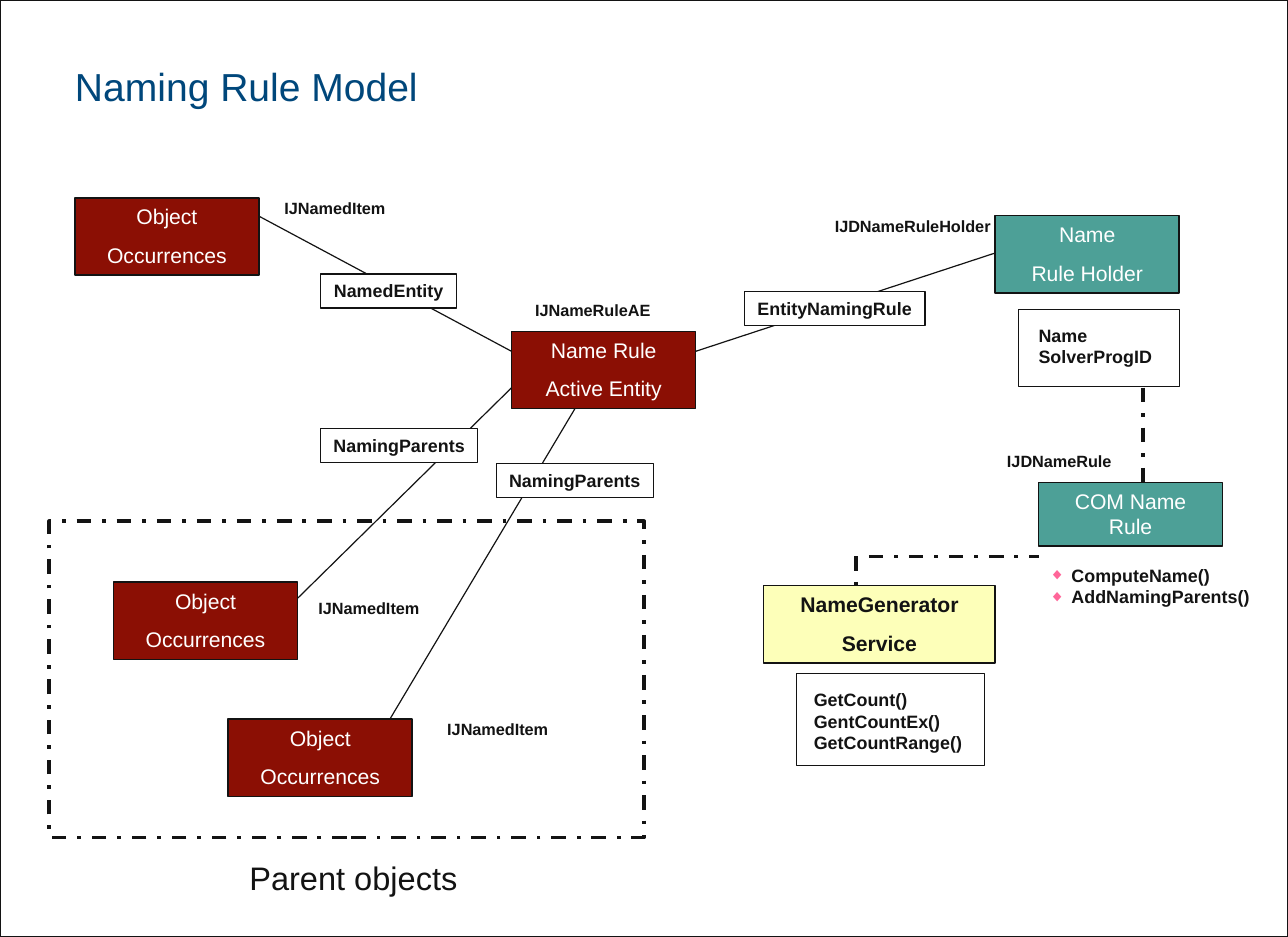
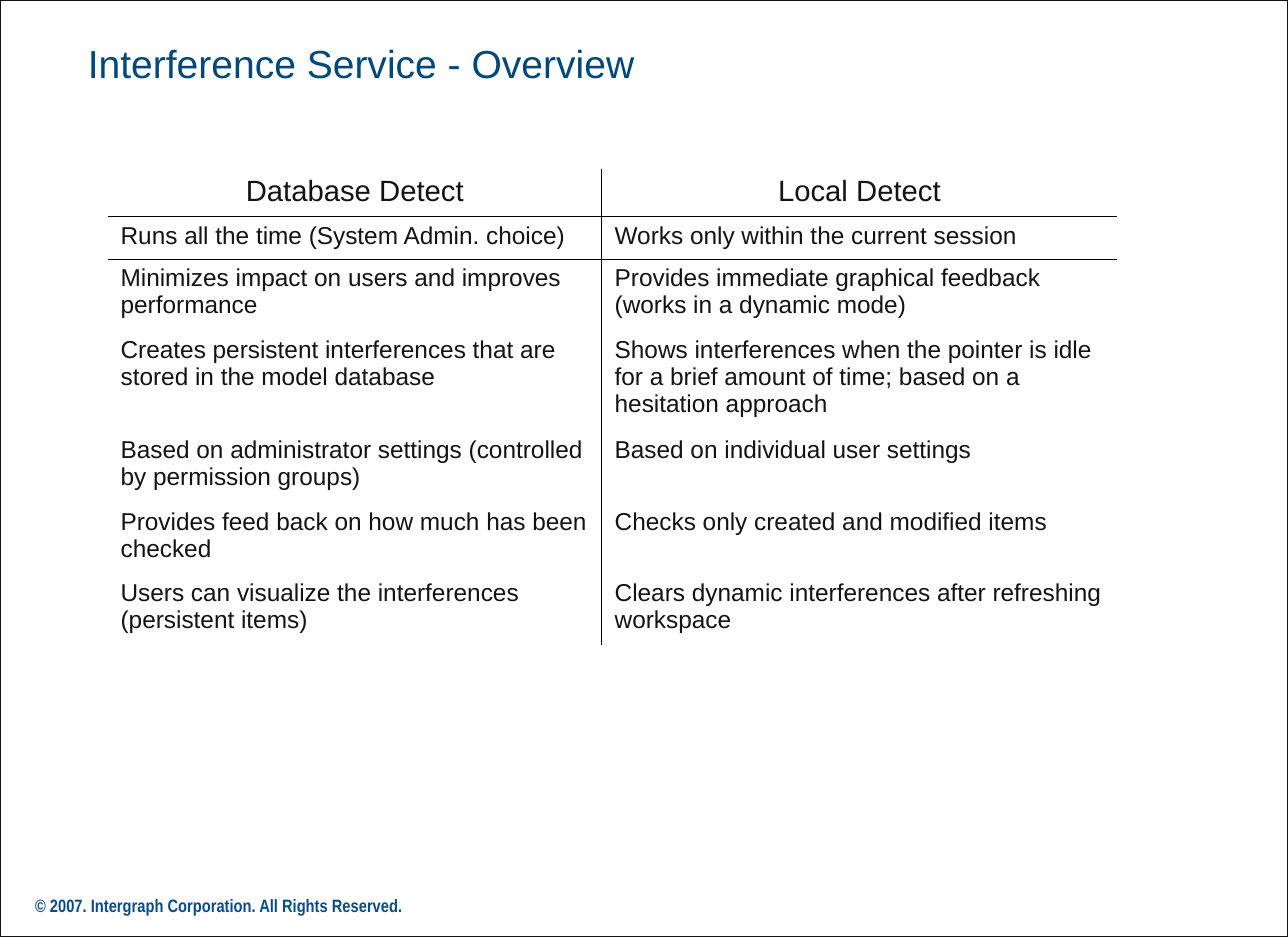
from dataclasses import dataclass

from lxml.etree import SubElement
from pptx import Presentation
from pptx.dml.color import RGBColor
from pptx.enum.dml import MSO_LINE
from pptx.enum.shapes import MSO_CONNECTOR, MSO_SHAPE
from pptx.enum.text import MSO_ANCHOR, MSO_AUTO_SIZE, PP_ALIGN
from pptx.oxml.ns import qn
from pptx.util import Emu, Inches, Pt


@dataclass(frozen=True)
class Theme:
    font: str = "Arial"
    narrow: str = "Arial Narrow"
    ink: str = "131313"
    white: str = "FFFFFF"
    backdrop: str = "CED8D9"
    title: str = "00477B"
    copyright: str = "084B88"
    entity: str = "8B0F04"
    rule: str = "4DA097"
    service: str = "FDFFB9"
    bullet: str = "FF6699"
    border: str = "000000"
    title_size: float = 24
    caption_size: float = 20
    header_size: float = 18
    cell_size: float = 15
    box_size: float = 13
    member_size: float = 11
    interface_size: float = 10
    thin: float = 0.25
    wire: float = 0.75
    outline: float = 1
    dash: float = 2.25


theme = Theme()
deck = Presentation()
deck.slide_width, deck.slide_height = Inches(11), Inches(8)
COL, ROW = deck.slide_width / 110, deck.slide_height / 80
PAD, FLUSH = (1.1, 0.5), (0, 0)


def write(frame, lines, size, color=theme.ink, bold=False, font=theme.font,
          align=PP_ALIGN.LEFT, gap=0, pad=PAD, anchor=MSO_ANCHOR.TOP, wrap=True):
    frame.auto_size, frame.word_wrap = MSO_AUTO_SIZE.NONE, wrap
    frame.vertical_anchor = anchor
    frame.margin_left = frame.margin_right = Emu(round(pad[0] * COL))
    frame.margin_top = frame.margin_bottom = Emu(round(pad[1] * ROW))
    frame.text = "\n".join(lines)
    for index, paragraph in enumerate(frame.paragraphs):
        paragraph.alignment = align
        paragraph.space_before = Pt(gap if index else 0)
        paragraph.font.name, paragraph.font.size = font, Pt(size)
        paragraph.font.bold = bold
        paragraph.font.color.rgb = RGBColor.from_string(color)


def box(slide, place, fill=None, weight=theme.outline, dash=None):
    x, y, w, h = place
    shape = slide.shapes.add_shape(
        MSO_SHAPE.RECTANGLE, round(x * COL), round(y * ROW), round(w * COL), round(h * ROW))
    shape.shadow.inherit = False
    if fill:
        shape.fill.solid()
        shape.fill.fore_color.rgb = RGBColor.from_string(fill)
    else:
        shape.fill.background()
    shape.line.color.rgb = RGBColor.from_string(theme.ink)
    shape.line.width = Pt(weight)
    shape.line.dash_style = dash
    return shape


backdrop = deck.slide_master.background.fill
backdrop.solid()
backdrop.fore_color.rgb = RGBColor.from_string(theme.backdrop)

slides = []
for heading, layout, pad, anchor in [
    ("Naming Rule Model", 1, FLUSH, MSO_ANCHOR.BOTTOM),
    ("Interference Service - Overview", 5, PAD, MSO_ANCHOR.MIDDLE),
]:
    slide = deck.slides.add_slide(deck.slide_layouts[layout])
    page = box(slide, (0, 0, 110, 80), theme.white, theme.wire)
    slide.shapes._spTree.insert(2, page._element)
    title = slide.shapes.title
    title.left, title.top = round(6.4 * COL), round(1.4 * ROW)
    title.width, title.height = round(66.7 * COL), round(7.9 * ROW)
    write(title.text_frame, [heading], theme.title_size, theme.title, pad=pad, anchor=anchor)
    slides.append(slide)
model, overview = slides

wires = [
    (25.4, 51.1, 43.7, 33.1, theme.wire, None),
    (43.7, 30, 22.2, 18.5, theme.wire, None),
    (59.4, 30, 85, 21.6, theme.wire, None),
    (33.3, 61.4, 49.1, 34.9, theme.wire, None),
    (73.1, 47.5, 73.1, 50, theme.dash, MSO_LINE.DASH_DOT),
    (74.2, 47.5, 88.7, 47.5, theme.dash, MSO_LINE.DASH_DOT),
    (97.6, 33.1, 97.6, 41.2, theme.dash, MSO_LINE.DASH_DOT),
]
for x1, y1, x2, y2, weight, dash in wires:
    wire = model.shapes.add_connector(
        MSO_CONNECTOR.STRAIGHT, round(x1 * COL), round(y1 * ROW), round(x2 * COL), round(y2 * ROW))
    wire.line.color.rgb = RGBColor.from_string(theme.ink)
    wire.line.width, wire.line.dash_style = Pt(weight), dash
    SubElement(wire._element.spPr, qn("a:effectLst"))

box(model, (4.2, 44.5, 50.8, 27), weight=theme.dash, dash=MSO_LINE.DASH_DOT)

occurrences = ["Object", "Occurrences"]
components = [
    (6.4, 16.9, 15.7, 6.6, theme.entity, theme.white, occurrences),
    (9.7, 49.7, 15.7, 6.6, theme.entity, theme.white, occurrences),
    (19.5, 61.4, 15.7, 6.6, theme.entity, theme.white, occurrences),
    (43.7, 28.3, 15.7, 6.6, theme.entity, theme.white, ["Name Rule", "Active Entity"]),
    (85, 18.4, 15.7, 6.6, theme.rule, theme.white, ["Name", "Rule Holder"]),
    (88.7, 41.2, 15.7, 5.4, theme.rule, theme.white, ["COM Name Rule"]),
    (65.2, 50, 19.8, 6.6, theme.service, theme.ink, ["NameGenerator", "Service"]),
]
for *place, fill, color, lines in components:
    component = box(model, place, fill)
    write(component.text_frame, lines, theme.box_size, color, bold=fill == theme.service,
          align=PP_ALIGN.CENTER, gap=8.1)

relations = [
    (27.4, 36.6, 13.4, "NamingParents"),
    (42.4, 39.6, 13.4, "NamingParents"),
    (27.4, 23.4, 11.6, "NamedEntity"),
    (63.6, 24.9, 15.4, "EntityNamingRule"),
]
for x, y, w, name in relations:
    relation = box(model, (x, y, w, 2.9), theme.white, theme.wire)
    write(relation.text_frame, [name], theme.member_size, bold=True,
          align=PP_ALIGN.CENTER, wrap=False)

members = [
    (87, 26.4, 13.7, 6.6, 1.7, ["Name", "SolverProgID"]),
    (68, 57.5, 16.1, 7.8, 1.5, ["GetCount()", "GentCountEx()", "GetCountRange()"]),
]
for *place, indent, lines in members:
    member_list = box(model, place, theme.white, theme.thin)
    write(member_list.text_frame, lines, theme.member_size, bold=True, pad=(indent, 1.3))

labels = [
    (24.3, 16.9, 11, "IJNamedItem"),
    (27.2, 51.1, 11, "IJNamedItem"),
    (38.2, 61.4, 11, "IJNamedItem"),
    (45.7, 25.6, 13.7, "IJNameRuleAE"),
    (71.3, 18.5, 13.7, "IJDNameRuleHolder"),
    (86, 38.5, 13.8, "IJDNameRule"),
]
for x, y, w, name in labels:
    label = model.shapes.add_textbox(round(x * COL), round(y * ROW), round(w * COL), round(1.7 * ROW))
    write(label.text_frame, [name], theme.interface_size, bold=True, pad=FLUSH)

caption = model.shapes.add_textbox(
    round(20.2 * COL), round(72.8 * ROW), round(21 * COL), round(4.4 * ROW))
write(caption.text_frame, ["Parent objects"], theme.caption_size)

methods = model.placeholders[1]
methods.left, methods.top = round(89.6 * COL), round(48.2 * ROW)
methods.width, methods.height = round(18.4 * COL), round(3.7 * ROW)
methods.text_frame.text = "ComputeName()\nAddNamingParents()"
write(methods.text_frame, ["ComputeName()", "AddNamingParents()"], theme.member_size,
      bold=True, pad=FLUSH)
for method in methods.text_frame.paragraphs:
    properties = method._p.get_or_add_pPr()
    indent = round(1.9 * COL)
    properties.set("marL", str(indent))
    properties.set("indent", str(-indent))
    defaults = properties.find(qn("a:defRPr"))
    bullet_color = SubElement(properties, qn("a:buClr"))
    SubElement(bullet_color, qn("a:srgbClr"), val=theme.bullet)
    SubElement(properties, qn("a:buSzPct"), val="90000")
    SubElement(properties, qn("a:buFont"), typeface=theme.font)
    SubElement(properties, qn("a:buChar"), char="◆")
    properties.append(defaults)

comparison = [
    (4.1, "Database Detect", "Local Detect"),
    (3.6, "Runs all the time (System Admin. choice)", "Works only within the current session"),
    (6.1, "Minimizes impact on users and improves performance",
     "Provides immediate graphical feedback (works in a dynamic mode)"),
    (8.6, "Creates persistent interferences that are stored in the model database",
     "Shows interferences when the pointer is idle for a brief amount of time; "
     "based on a hesitation approach"),
    (6.1, "Based on administrator settings (controlled by permission groups)",
     "Based on individual user settings"),
    (6.1, "Provides feed back on how much has been checked",
     "Checks only created and modified items"),
    (6.1, "Users can visualize the interferences (persistent items)",
     "Clears dynamic interferences after refreshing workspace"),
]
table = overview.shapes.add_table(
    len(comparison), 2, round(9.2 * COL), round(14.4 * ROW),
    round(86.2 * COL), round(40.7 * ROW)).table
table.first_row = table.horz_banding = False
table._tbl.tblPr.find(qn("a:tableStyleId")).text = "{2D5ABB26-0587-4C30-8999-92F81FD0307C}"
for column, width in zip(table.columns, (42.2, 44)):
    column.width = round(width * COL)
for r, (height, *entries) in enumerate(comparison):
    table.rows[r].height = round(height * ROW)
    for c, entry in enumerate(entries):
        cell = table.cell(r, c)
        cell.margin_left = cell.margin_right = round(PAD[0] * COL)
        cell.margin_top = cell.margin_bottom = round(PAD[1] * ROW)
        cell.text = entry
        paragraph = cell.text_frame.paragraphs[0]
        paragraph.alignment = PP_ALIGN.LEFT if r else PP_ALIGN.CENTER
        paragraph.space_after = Pt(6.5)
        paragraph.font.name = theme.font
        paragraph.font.size = Pt(theme.cell_size if r else theme.header_size)
        paragraph.font.color.rgb = RGBColor.from_string(theme.ink)
        edges = ["a:lnL" if c else "a:lnR"]
        if r < 2:
            edges.append("a:lnT" if r else "a:lnB")
        for edge in edges:
            border = SubElement(cell._tc.get_or_add_tcPr(), qn(edge), w=str(Pt(0.45)))
            paint = SubElement(border, qn("a:solidFill"))
            SubElement(paint, qn("a:srgbClr"), val=theme.border)
        cell.fill.background()

rights = overview.shapes.add_textbox(
    round(1.9 * COL), round(75.9 * ROW), round(57.7 * COL), round(3.6 * ROW))
write(rights.text_frame, ["© 2007. Intergraph Corporation. All Rights Reserved."],
      theme.member_size, theme.copyright, bold=True, font=theme.narrow)

deck.save("out.pptx")
